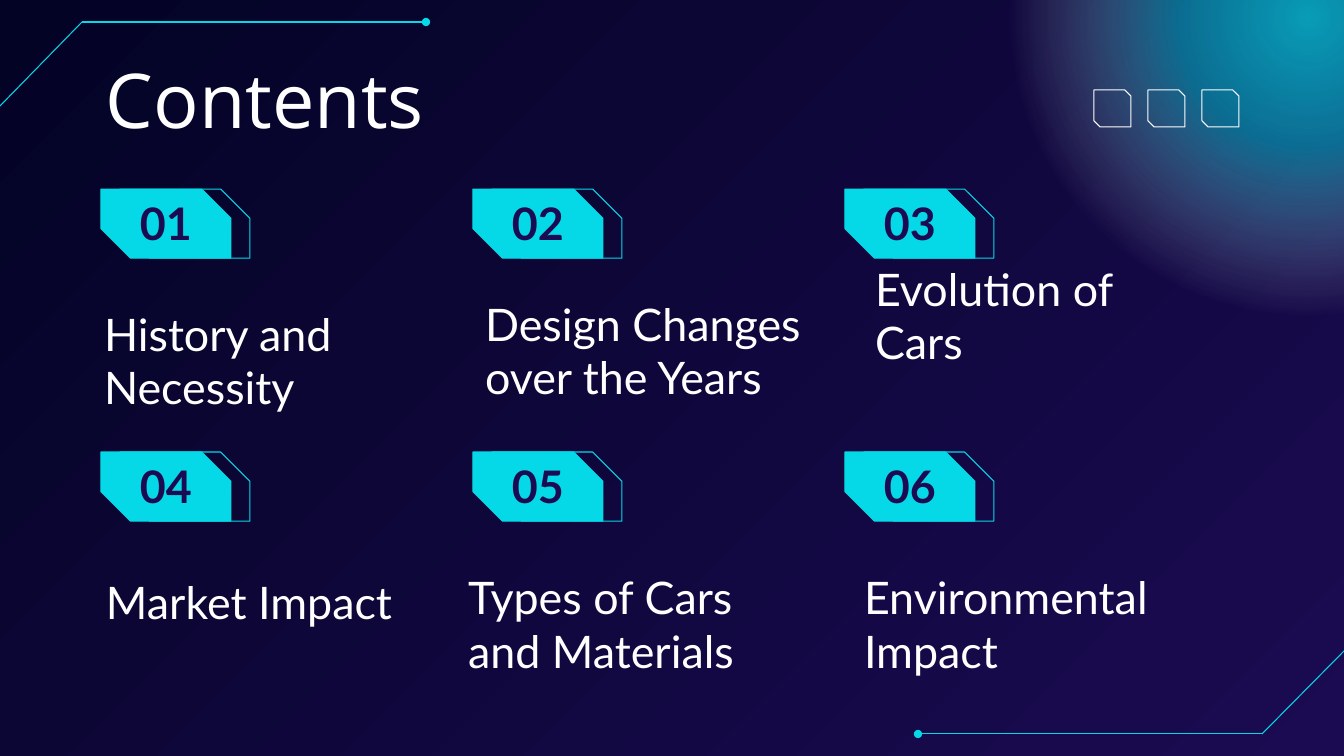
from lxml import etree
from pptx import Presentation
from pptx.dml.color import RGBColor
from pptx.enum.shapes import MSO_CONNECTOR as CONN, MSO_SHAPE as SHAPE
from pptx.enum.text import MSO_ANCHOR as ANCHOR, PP_ALIGN as ALIGN
from pptx.oxml import parse_xml
from pptx.oxml.ns import nsdecls, qn
from pptx.util import Emu, Pt

PX = 9525 * 96 / 100.8  # EMU in one pixel
COLORS = {"night": "030325", "violet": "1B0B52", "cyan": "05D8E7", "white": "FFFFFF"}


def px(n):
    return Emu(round(n * PX))


def rgb(name):
    return RGBColor.from_string(COLORS[name])


def add_text(shapes, box, text, size, font, color, anchor=ANCHOR.TOP,
             align=ALIGN.LEFT, bold=False):
    tb = shapes.add_textbox(*map(px, box))
    tf = tb.text_frame
    tf.text = text
    tf.word_wrap = True
    tf.vertical_anchor = anchor
    tf.margin_left = tf.margin_right = tf.margin_top = tf.margin_bottom = px(13)
    p = tf.paragraphs[0]
    p.alignment = align
    f = p.runs[0].font
    f.size, f.name, f.bold = Pt(size), font, bold
    f.color.rgb = rgb(color)


def add_snipped(shapes, box, snip, line, fill=None):
    sp = shapes.add_shape(SHAPE.SNIP_2_DIAG_RECTANGLE, *map(px, box))
    sp.shadow.inherit = False
    sp.adjustments[0], sp.adjustments[1] = 0, snip
    sp.line.color.rgb = rgb(line)
    sp.line.width = Pt(0.75)
    if fill:
        sp.fill.solid()
        sp.fill.fore_color.rgb = rgb(fill)
    else:
        sp.fill.background()


def add_background(s):
    fill = s.background.fill
    fill.gradient()
    fill.gradient_angle = 315
    for stop, name in zip(fill.gradient_stops, ("night", "violet")):
        stop.color.rgb = rgb(name)


def add_glow(s, box):
    sp = s.shapes.add_shape(SHAPE.OVAL, *map(px, box))
    sp.shadow.inherit = False
    sp.line.fill.background()
    # Radial gradient: position %, colour, opacity %
    stops = [(0, "cyan", 71), (30, "cyan", 48), (69, "white", 0), (100, "white", 0)]
    gs = "".join(
        f'<a:gs pos="{pos * 1000}"><a:srgbClr val="{COLORS[name]}">'
        f'<a:alpha val="{alpha * 1000}"/></a:srgbClr></a:gs>'
        for pos, name, alpha in stops)
    grad = parse_xml(
        f'<a:gradFill {nsdecls("a")} rotWithShape="1"><a:gsLst>{gs}</a:gsLst>'
        '<a:path path="circle"><a:fillToRect l="50000" t="50000" r="50000" b="50000"/>'
        '</a:path></a:gradFill>')
    sp.element.spPr.find(qn("a:prstGeom")).addnext(grad)


def add_circuit(s, points):
    """Bent line through the points, ending in a dot."""
    shapes = s.shapes.add_group_shape().shapes
    for start, end in zip(points, points[1:]):
        c = shapes.add_connector(CONN.STRAIGHT, *map(px, start + end))
        c.line.color.rgb = rgb("cyan")
        c.line.width = Pt(0.75)
        etree.SubElement(c.element.spPr, qn("a:effectLst"))
    etree.SubElement(c.line._get_or_add_ln(), qn("a:tailEnd"), type="oval")


def add_icons(s, x, y, size, pitch):
    shapes = s.shapes.add_group_shape().shapes
    for i in range(3):
        add_snipped(shapes, (x + i * pitch, y, size, size), 0.167, "white")


def add_badge(s, x, y, w, h, number):
    shapes = s.shapes.add_group_shape().shapes
    add_snipped(shapes, (x + 19, y, w, h), 0.426, "cyan")
    add_snipped(shapes, (x, y, w, h), 0.426, "cyan", "cyan")
    add_text(s.shapes, (x + 19, y - 7, 92, h + 13), number, 32, "Lato", "violet",
             ANCHOR.MIDDLE, ALIGN.CENTER, True)


def add_topics(s, x, y, pitch_x, pitch_y):
    # Topic, left edge and bottom edge of its text box
    topics = [
        ("History and Necessity", 91, 427),
        ("Design Changes over the Years", 472, 417),
        ("Evolution of Cars", 862, 382),
        ("Market Impact", 93, 642),
        ("Types of Cars and Materials", 455, 690),
        ("Environmental Impact", 851, 690),
    ]
    for i, (topic, left, bottom) in enumerate(topics):
        row, col = divmod(i, 3)
        add_badge(s, x + col * pitch_x, y + row * pitch_y, 130, 69, f"{i + 1:02}")
        add_text(s.shapes, (left, bottom - 143, 351, 143), topic, 32, "Lato", "white",
                 ANCHOR.BOTTOM)


def add_contents_slide(prs):
    s = prs.slides.add_slide(prs.slide_layouts[6])
    # Backdrop
    add_background(s)
    add_glow(s, (1001, -289, 612, 612))
    add_circuit(s, [(-2, 108), (82, 22), (426, 22)])
    add_circuit(s, [(1347, 648), (1262, 734), (918, 734)])
    # Heading
    add_text(s.shapes, (93, 40, 1054, 119), "Contents", 54, "Open Sans", "white")
    add_icons(s, 1094, 90, 37, 54)
    # Numbered topics
    add_topics(s, 101, 189, 372, 263)


prs = Presentation()
prs.slide_width, prs.slide_height = px(1344), px(756)
add_contents_slide(prs)
prs.save("out.pptx")
